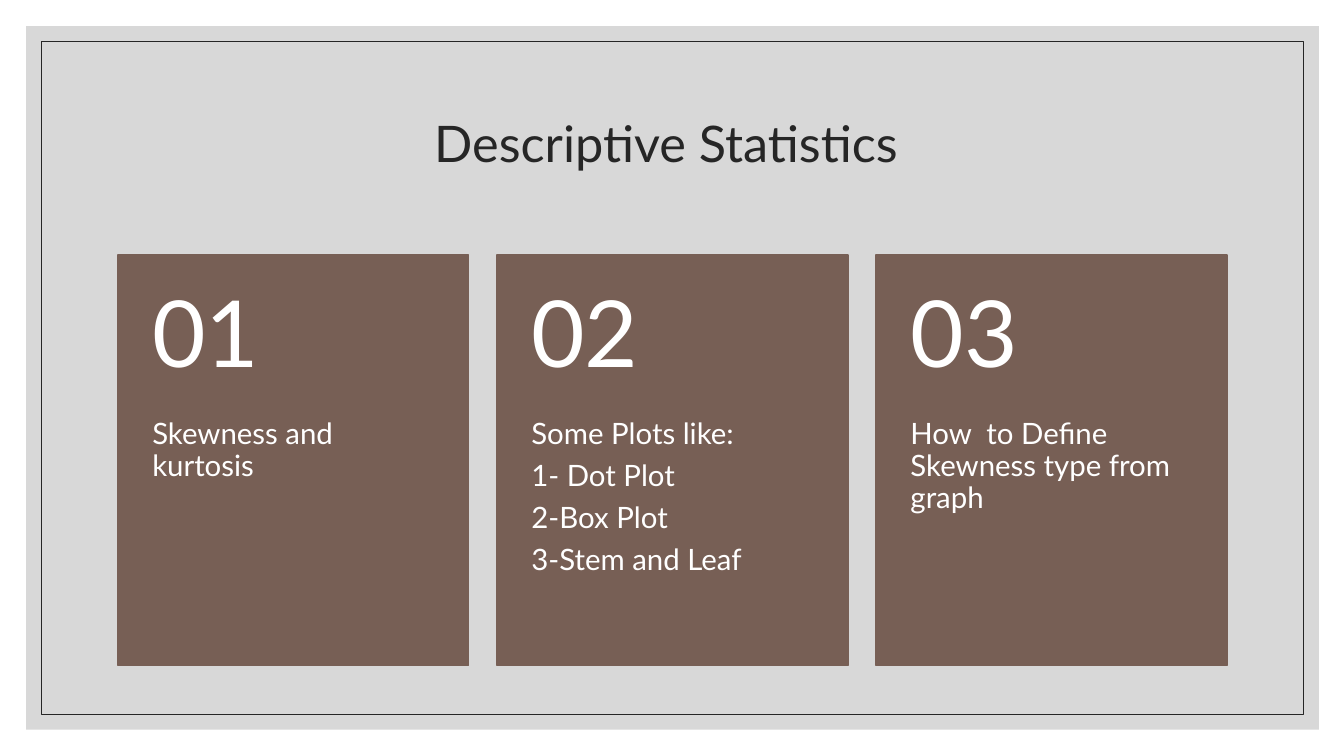
from dataclasses import dataclass

from lxml import etree
from pptx import Presentation
from pptx.dml import color
from pptx.enum import shapes, text
from pptx.oxml import ns
from pptx.util import Inches, Pt


@dataclass(frozen=True)
class Theme:
    font: str = "Lato"
    ink: str = "262626"
    backdrop: str = "BFBFBF"
    backdrop_opacity: int = 60
    card: str = "775F55"
    card_text: str = "FFFFFF"
    title_size: int = 36
    number_size: int = 66
    body_size: int = 21
    line_spacing: float = 0.9


@dataclass(frozen=True)
class Box:
    left: float
    top: float
    width: float
    height: float

    def lengths(self) -> tuple:
        return tuple(map(Inches, (self.left, self.top, self.width, self.height)))


@dataclass(frozen=True)
class Card:
    number: str
    lines: tuple[str, ...]


THEME = Theme()
BACKDROP = Box(0.26, 0.26, 12.82, 6.98)
BORDER = Box(0.41, 0.41, 12.52, 6.68)
TITLE = Box(1.17, 0.7, 11, 1.5)
FIRST_CARD = Box(1.17, 2.53, 3.48, 4.07)
CARD_PITCH = 3.76
NUMBER_HEIGHT = 1.63
CARDS = (
    Card("01", ("Skewness and kurtosis",)),
    Card("02", ("Some Plots like:", "1- Dot Plot", "2-Box Plot", "3-Stem and Leaf")),
    Card("03", ("How  to Define Skewness type from graph",)),
)


def write_text(shape, lines: tuple[str, ...], *, size: int, color_hex: str,
               align=text.PP_ALIGN.LEFT, anchor=text.MSO_ANCHOR.TOP,
               insets: tuple = (0.1, 0.05, 0.1, 0.05), space_after: float = 0) -> None:
    frame = shape.text_frame
    frame.word_wrap = True
    frame.auto_size = text.MSO_AUTO_SIZE.NONE
    frame.vertical_anchor = anchor
    (frame.margin_left, frame.margin_top,
     frame.margin_right, frame.margin_bottom) = map(Inches, insets)
    frame.text = "\n".join(lines)
    for paragraph in frame.paragraphs:
        paragraph.alignment = align
        paragraph.line_spacing = THEME.line_spacing
        paragraph.space_before = Pt(0)
        paragraph.space_after = Pt(space_after)
        font = paragraph.runs[0].font
        font.name = THEME.font
        font.size = Pt(size)
        font.color.rgb = color.RGBColor.from_string(color_hex)


def add_rectangle(container, box: Box, *, fill: str | None = None, opacity: int = 100,
                  line: str | None = None, line_width: float = 1):
    shape = container.add_shape(shapes.MSO_SHAPE.RECTANGLE, *box.lengths())
    shape.shadow.inherit = False
    if fill:
        shape.fill.solid()
        shape.fill.fore_color.rgb = color.RGBColor.from_string(fill)
        if opacity < 100:
            fill_color = shape.element.spPr.find(".//" + ns.qn("a:srgbClr"))
            etree.SubElement(fill_color, ns.qn("a:alpha"), val=str(opacity * 1000))
    else:
        shape.fill.background()
    if line:
        shape.line.color.rgb = color.RGBColor.from_string(line)
        shape.line.width = Pt(line_width)
    else:
        shape.line.fill.background()
    return shape


def add_card(slide, card: Card, box: Box) -> None:
    group = slide.shapes.add_group_shape()
    group.name = f"Card {card.number}"
    add_rectangle(group.shapes, box, fill=THEME.card, line=THEME.card)
    number_box = Box(box.left, box.top, box.width, NUMBER_HEIGHT)
    body_box = Box(box.left, box.top + NUMBER_HEIGHT, box.width, box.height - NUMBER_HEIGHT)
    write_text(group.shapes.add_textbox(*body_box.lengths()), card.lines,
               size=THEME.body_size, color_hex=THEME.card_text,
               insets=(0.34, 0, 0.34, 0.36), space_after=7.4)
    write_text(group.shapes.add_textbox(*number_box.lengths()), (card.number,),
               size=THEME.number_size, color_hex=THEME.card_text,
               anchor=text.MSO_ANCHOR.MIDDLE, insets=(0.34, 0.18, 0.34, 0.18))


def add_title(slide, title: str) -> None:
    shape = slide.shapes.title
    shape.left, shape.top, shape.width, shape.height = TITLE.lengths()
    write_text(shape, (title,), size=THEME.title_size, color_hex=THEME.ink,
               align=text.PP_ALIGN.CENTER, anchor=text.MSO_ANCHOR.MIDDLE)
    slide.shapes.element.append(shape.element)


def main() -> None:
    presentation = Presentation()
    presentation.slide_width = Inches(13.33)
    presentation.slide_height = Inches(7.5)
    slide = presentation.slides.add_slide(presentation.slide_layouts.get_by_name("Title Only"))
    add_rectangle(slide.shapes, BACKDROP, fill=THEME.backdrop, opacity=THEME.backdrop_opacity)
    add_rectangle(slide.shapes, BORDER, line=THEME.ink, line_width=0.5)
    add_title(slide, "Descriptive Statistics ")
    for index, card in enumerate(CARDS):
        left = FIRST_CARD.left + index * CARD_PITCH
        add_card(slide, card, Box(left, FIRST_CARD.top, FIRST_CARD.width, FIRST_CARD.height))
    presentation.save("out.pptx")


if __name__ == "__main__":
    main()
